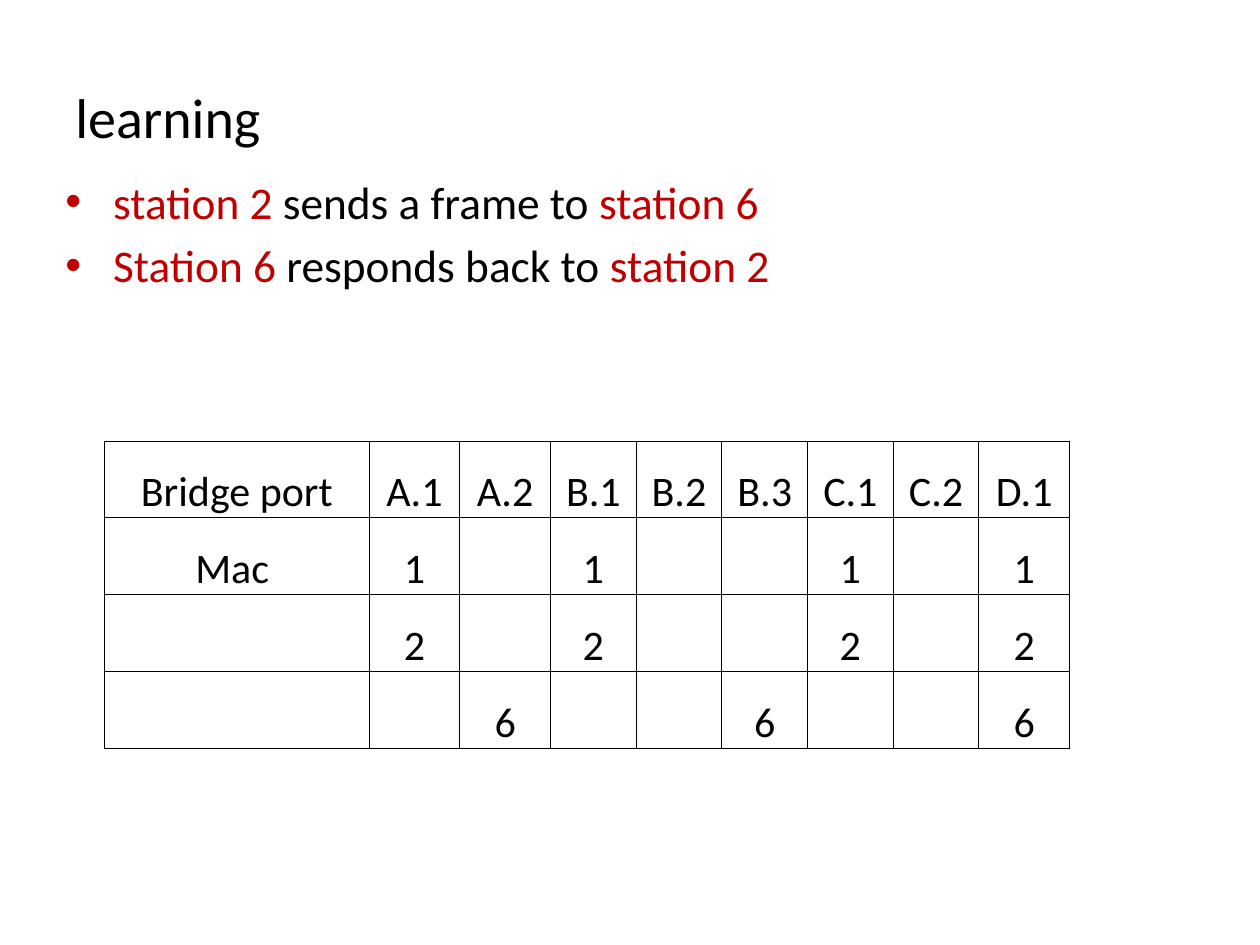
from lxml import etree
from pptx import Presentation
from pptx.dml.color import RGBColor
from pptx.enum.text import MSO_ANCHOR, PP_ALIGN
from pptx.oxml.ns import qn
from pptx.util import Inches, Pt

MIDDLE, BOTTOM, CENTER = MSO_ANCHOR.MIDDLE, MSO_ANCHOR.BOTTOM, PP_ALIGN.CENTER
FONT, BLACK, RED = "Calibri", "000000", "C00000"

TITLE = "learning"
BULLETS = [
    [("station 2", RED), (" sends a frame to ", BLACK), ("station 6", RED)],
    [("Station 6 ", RED), ("responds back to ", BLACK), ("station 2", RED)],
]
ROWS = [
    ["Bridge port", "A.1", "A.2", "B.1", "B.2", "B.3", "C.1", "C.2", "D.1"],
    ["Mac ", "1", "", "1", "", "", "1", "", "1"],
    ["", "2", "", "2", "", "", "2", "", "2"],
    ["", "", "6", "", "", "6", "", "", "6"],
]
COL_WIDTHS = [2.1, 0.72, 0.72, 0.68, 0.68, 0.68, 0.68, 0.68, 0.72]
ROW_HEIGHT = 0.61


def rgb(color):
    """Turn a hex string into a colour."""
    return RGBColor.from_string(color)


def add_run(p, text, size=24, color=BLACK):
    """Add formatted text to a paragraph."""
    r = p.add_run()
    r.text = text
    r.font.name, r.font.size = FONT, Pt(size)
    r.font.color.rgb = rgb(color)


def add_box(s, left, top, width, height):
    """Add a wrapping text box and return its text frame."""
    tf = s.shapes.add_textbox(*map(Inches, (left, top, width, height))).text_frame
    tf.word_wrap = True
    return tf


def set_bullet(p, indent=0.38):
    """Give a paragraph a hanging bullet."""
    pPr = p._p.get_or_add_pPr()
    pPr.set("marL", str(Inches(indent)))
    pPr.set("indent", str(-Inches(indent)))
    etree.SubElement(pPr, qn("a:buFont")).set("typeface", "Arial")
    etree.SubElement(pPr, qn("a:buChar")).set("char", "•")


def set_borders(cell, color=BLACK, width=0.5):
    """Draw the four borders of a cell."""
    tcPr = cell._tc.get_or_add_tcPr()
    for side in ("a:lnL", "a:lnR", "a:lnT", "a:lnB"):
        ln = etree.SubElement(tcPr, qn(side), w=str(Pt(width)))
        fill = etree.SubElement(ln, qn("a:solidFill"))
        etree.SubElement(fill, qn("a:srgbClr"), val=color)


def fill_cell(cell, text):
    """Format a table cell and write its text."""
    set_borders(cell)
    cell.fill.background()
    cell.vertical_anchor = BOTTOM
    cell.margin_left = cell.margin_right = cell.margin_top = Inches(0.01)
    cell.margin_bottom = 0
    p = cell.text_frame.paragraphs[0]
    p.alignment = CENTER
    if text:
        add_run(p, text)


def add_grid(s, left, top):
    """Add the table of learned addresses."""
    table = s.shapes.add_table(
        len(ROWS), len(COL_WIDTHS), Inches(left), Inches(top),
        Inches(sum(COL_WIDTHS)), Inches(ROW_HEIGHT * len(ROWS))).table
    table.first_row = table.horz_banding = False
    for col, width in zip(table.columns, COL_WIDTHS):
        col.width = Inches(width)
    for row, texts in zip(table.rows, ROWS):
        row.height = Inches(ROW_HEIGHT)
        for cell, text in zip(row.cells, texts):
            fill_cell(cell, text)


def main():
    """Build the slide and save it."""
    prs = Presentation()
    prs.slide_width, prs.slide_height = Inches(10), Inches(7.5)
    s = prs.slides.add_slide(prs.slide_layouts[6])

    tf = add_box(s, 0.5, 0.3, 9, 1.25)
    tf.vertical_anchor = MIDDLE
    add_run(tf.paragraphs[0], TITLE, size=32)

    tf = add_box(s, 0.42, 1.33, 9, 1)
    for i, runs in enumerate(BULLETS):
        p = tf.add_paragraph() if i else tf.paragraphs[0]
        p.space_before = Pt(5.2)
        set_bullet(p)
        for text, color in runs:
            add_run(p, text, size=25.9, color=color)

    add_grid(s, 0.83, 3.5)
    prs.save("out.pptx")


if __name__ == "__main__":
    main()
